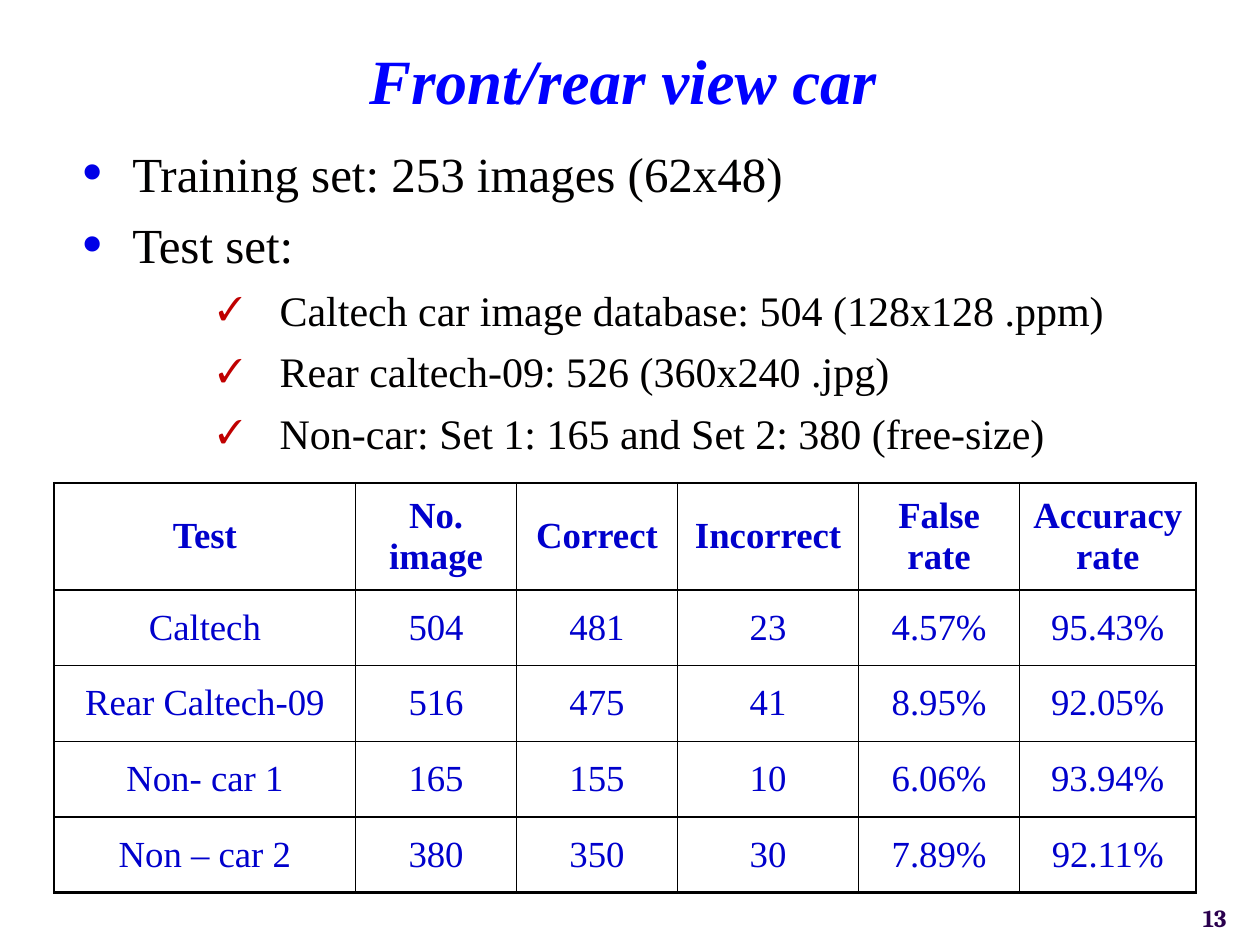
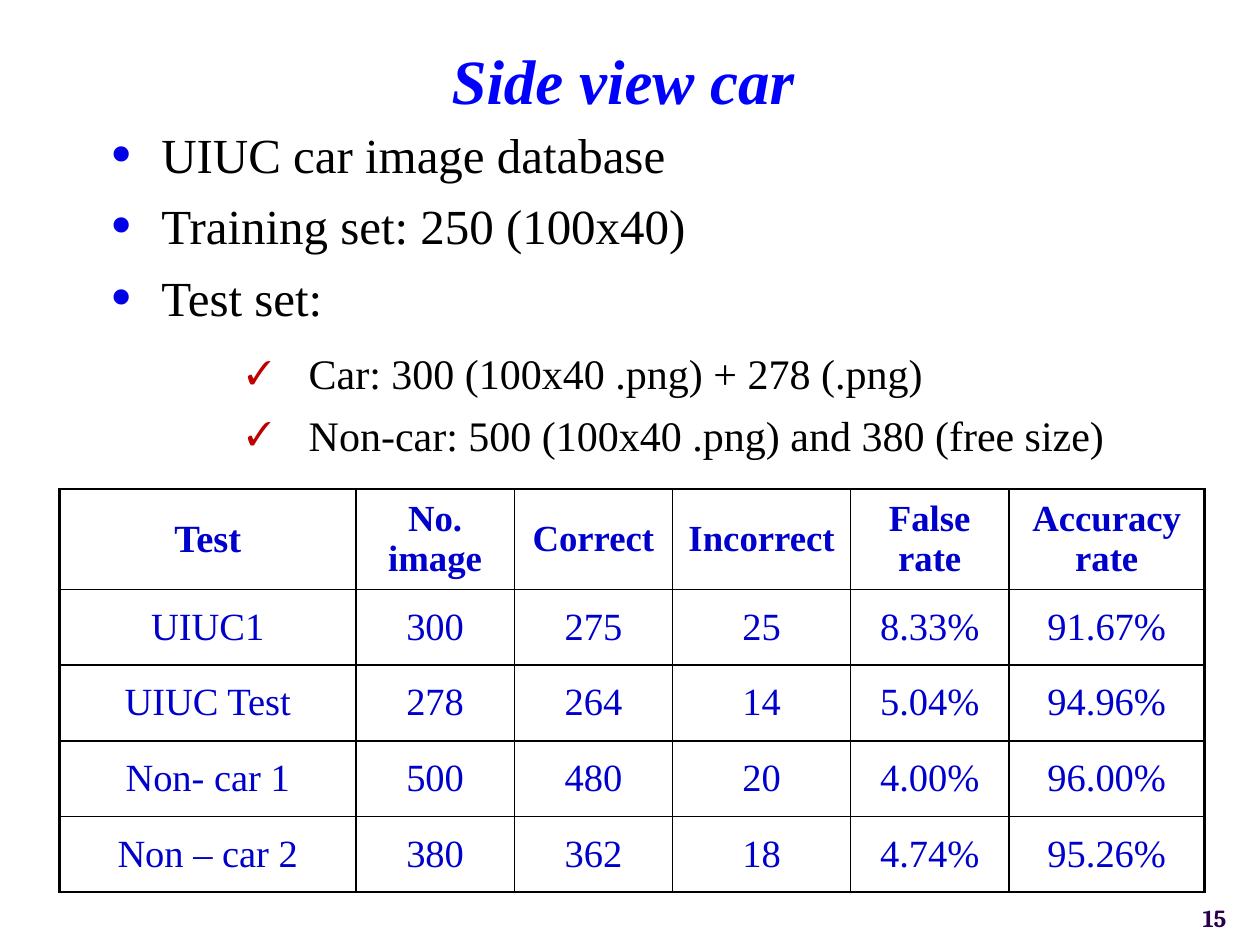
from dataclasses import dataclass

from lxml import etree
from pptx import Presentation
from pptx.dml.color import RGBColor
from pptx.enum.text import MSO_ANCHOR, MSO_AUTO_SIZE, PP_ALIGN
from pptx.oxml.ns import qn
from pptx.util import Pt

LEFT, CENTER, RIGHT = PP_ALIGN.LEFT, PP_ALIGN.CENTER, PP_ALIGN.RIGHT
TOP, MIDDLE = MSO_ANCHOR.TOP, MSO_ANCHOR.MIDDLE
FIXED = MSO_AUTO_SIZE.NONE
TITLE_AND_CONTENT = 1


@dataclass(frozen=True)
class Theme:
    font: str = "Times New Roman"
    number_font: str = "Cambria"
    paper: str = "FFFFFF"
    title: str = "0000FF"
    body: str = "010000"
    bullet: str = "0000E7"
    check: str = "C00000"
    cell: str = "0000CC"
    border: str = "000000"
    number: str = "2A004E"
    title_size: int = 36
    item_size: int = 28
    detail_size: int = 24
    header_size: int = 21
    number_size: int = 14
    line: int = 29
    inner_border: float = 1
    outer_border: float = 1.5


@dataclass(frozen=True)
class Bullet:
    symbol: str
    color: str
    percent: int
    margin: float
    hanging: float


def write(para, text, font, size, color, bold=False, italic=False, align=LEFT):
    para.alignment = align
    span = para.add_run()
    span.text = text
    span.font.name = font
    span.font.size = Pt(size)
    span.font.color.rgb = RGBColor.from_string(color)
    span.font.bold = bold
    span.font.italic = italic


def child(parent, tag, **attributes):
    return etree.SubElement(parent, qn(tag), attributes)


def place(shape, left, top, width, height):
    shape.left, shape.top = Pt(left), Pt(top)
    shape.width, shape.height = Pt(width), Pt(height)


def add_bullet(para, bullet, font):
    properties = para._p.get_or_add_pPr()
    properties.set("marL", str(Pt(bullet.margin)))
    properties.set("indent", str(Pt(-bullet.hanging)))
    child(child(properties, "a:buClr"), "a:srgbClr", val=bullet.color)
    child(properties, "a:buSzPct", val=str(bullet.percent * 1000))
    child(properties, "a:buFont", typeface=font)
    child(properties, "a:buChar", char=bullet.symbol)


class Deck:
    def __init__(self, theme):
        self.theme = theme
        self.presentation = Presentation()
        self.presentation.slide_width = Pt(720)
        self.presentation.slide_height = Pt(540)
        self.bullets = (
            Bullet("•", theme.bullet, 130, 28.8, 28.8),
            Bullet("✓", theme.check, 78, 113, 35.3),
        )
        self.page = None

    def add_page(self, title, number):
        layout = self.presentation.slide_layouts[TITLE_AND_CONTENT]
        self.page = self.presentation.slides.add_slide(layout)
        self.add_title(title)
        self.add_number(number)

    def add_title(self, text):
        theme = self.theme
        box = self.page.shapes.title
        place(box, 24, 16, 664, 68)
        frame = box.text_frame
        frame.auto_size = FIXED
        frame.vertical_anchor = TOP
        frame.margin_top = Pt(7.5)
        write(frame.paragraphs[0], text, theme.font, theme.title_size,
              theme.title, bold=True, italic=True, align=CENTER)

    def add_number(self, number):
        theme = self.theme
        box = self.page.shapes.add_textbox(Pt(678), Pt(515.5), Pt(30), Pt(18))
        frame = box.text_frame
        frame.word_wrap = False
        frame.vertical_anchor = MIDDLE
        write(frame.paragraphs[0], str(number), theme.number_font,
              theme.number_size, theme.number, bold=True, align=RIGHT)

    def add_list(self, items, left, top, width, height):
        theme = self.theme
        box = self.page.placeholders[1]
        place(box, left, top, width, height)
        frame = box.text_frame
        frame.auto_size = FIXED
        frame.vertical_anchor = TOP
        for index, (level, space, text) in enumerate(items):
            para = frame.add_paragraph() if index else frame.paragraphs[0]
            para.level = level
            para.line_spacing = Pt(theme.line)
            para.space_before = Pt(space)
            add_bullet(para, self.bullets[level], theme.font)
            size = theme.detail_size if level else theme.item_size
            write(para, text, theme.font, size, theme.body)

    def add_results(self, rows, left, top, widths, header_height, size, corner_size):
        theme = self.theme
        header = ("Test", "No. image", "Correct", "Incorrect", "False rate",
                  "Accuracy rate")
        rows = (header, *rows)
        heights = [header_height] + [43.2] * (len(rows) - 1)
        table = self.page.shapes.add_table(
            len(rows), len(header), Pt(left), Pt(top),
            Pt(sum(widths)), Pt(sum(heights))).table
        table.first_row = table.horz_banding = False
        for column, width in zip(table.columns, widths):
            column.width = Pt(width)
        for row, height in zip(table.rows, heights):
            row.height = Pt(height)
        last_row, last_column = len(rows) - 1, len(header) - 1
        for r, values in enumerate(rows):
            for c, value in enumerate(values):
                cell = table.cell(r, c)
                self.add_borders(cell, L=c == 0, R=c == last_column,
                                 T=r == 0, B=r == last_row)
                cell.fill.solid()
                cell.fill.fore_color.rgb = RGBColor.from_string(theme.paper)
                cell.vertical_anchor = MIDDLE
                is_header = r == 0
                text_size = theme.header_size if is_header and c else size
                if is_header and c == 0:
                    text_size = corner_size
                write(cell.text_frame.paragraphs[0], value, theme.font,
                      text_size, theme.cell, bold=is_header, align=CENTER)

    def add_borders(self, cell, **outer_sides):
        theme = self.theme
        properties = cell._tc.get_or_add_tcPr()
        for side, is_outer in outer_sides.items():
            width = theme.outer_border if is_outer else theme.inner_border
            line = child(properties, f"a:ln{side}", w=str(Pt(width)))
            child(child(line, "a:solidFill"), "a:srgbClr", val=theme.border)


def main():
    deck = Deck(Theme())

    deck.add_page("Front/rear view car", 13)
    deck.add_list((
        (0, 0, "Training set: 253 images (62x48)"),
        (0, 12, "Test set:"),
        (1, 6, "Caltech car image database: 504 (128x128 .ppm)"),
        (1, 6, "Rear caltech-09: 526 (360x240 .jpg)"),
        (1, 6, "Non-car: Set 1: 165 and Set 2: 380 (free-size)"),
    ), 39.6, 82.8, 680.4, 180)
    deck.add_results((
        ("Caltech", "504", "481", "23", "4.57%", "95.43%"),
        ("Rear Caltech-09", "516", "475", "41", "8.95%", "92.05%"),
        ("Non- car 1", "165", "155", "10", "6.06%", "93.94%"),
        ("Non – car 2", "380", "350", "30", "7.89%", "92.11%"),
    ), 31, 276, (172.2, 92, 92, 103.5, 92, 100.8), 61.2, 21, 21)

    deck.add_page("Side view car", 15)
    deck.add_list((
        (0, 0, "UIUC car image database"),
        (0, 12, "Training set: 250 (100x40)"),
        (0, 12, "Test set:"),
        (1, 12, "Car: 300 (100x40 .png) + 278 (.png)"),
        (1, 6, "Non-car: 500 (100x40 .png) and 380 (free size)"),
    ), 56.2, 72, 641.5, 180)
    deck.add_results((
        ("UIUC1", "300", "275", "25", "8.33%", "91.67%"),
        ("UIUC Test", "278", "264", "14", "5.04%", "94.96%"),
        ("Non- car 1", "500", "480", "20", "4.00%", "96.00%"),
        ("Non – car 2", "380", "362", "18", "4.74%", "95.26%"),
    ), 34, 279.3, (169.4, 90.5, 90.5, 101.7, 90.5, 111.8), 55.5, 22, 22)

    deck.presentation.save("out.pptx")


if __name__ == "__main__":
    main()
